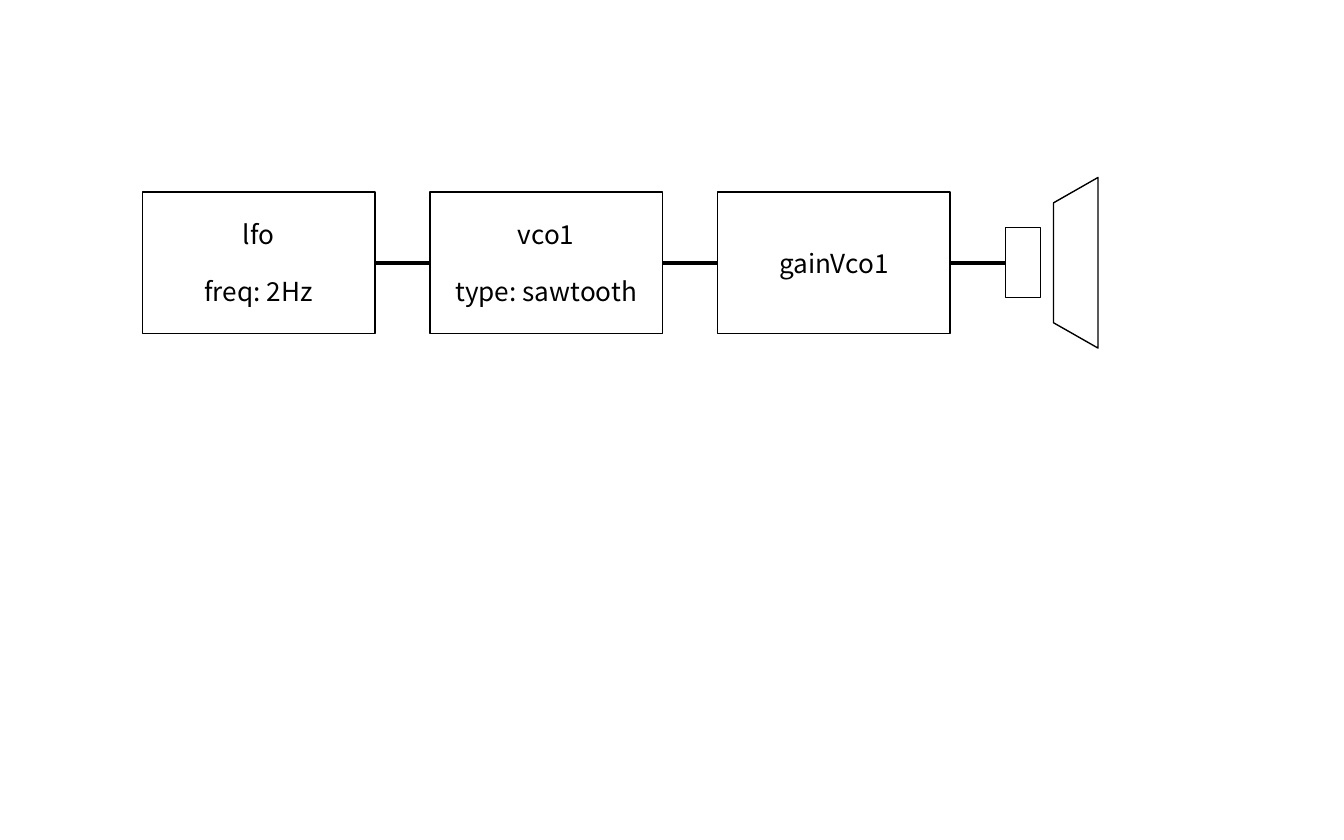
from lxml import etree
from pptx import Presentation
from pptx import util as u
from pptx.dml.color import RGBColor
from pptx.enum import shapes, text
from pptx.oxml import ns

BLACK = RGBColor(0, 0, 0)
FONT = "Noto Sans CJK JP"
CELL = u.Inches(0.01)
COLUMNS, ROWS = 1000, 625
PITCH = 214
FIRST_STAGE = (106, 143, 173, 105)
SPEAKER = (FIRST_STAGE[0] + 3 * PITCH, 132, 69, 127)
STAGES = (("lfo", "freq: 2Hz"), ("vco1", "type: sawtooth"), ("gainVco1",))


def apply_format(target, values):
    """Set each named attribute of the target."""
    for name, value in values.items():
        setattr(target, name, value)


def add_outline(parent, kind, box):
    """Add an unfilled, black-lined shape in a box of grid cells."""
    shape = parent.add_shape(kind, *(round(length * CELL) for length in box))
    shape.shadow.inherit = False
    shape.fill.background()
    shape.line.color.rgb = BLACK
    shape.line.width = u.Pt(0.75)
    return shape


def add_stage(slide, box, lines):
    """Draw one signal stage with its centred lines of text."""
    shape = add_outline(slide.shapes, shapes.MSO_SHAPE.RECTANGLE, box)
    frame = shape.text_frame
    apply_format(frame, {"word_wrap": True, "vertical_anchor": text.MSO_ANCHOR.MIDDLE})
    for index, line in enumerate(lines):
        paragraph = frame.add_paragraph() if index else frame.paragraphs[0]
        apply_format(paragraph, {"alignment": text.PP_ALIGN.CENTER,
                                 "space_before": u.Pt(13.5 if index else 0)})
        run = paragraph.add_run()
        run.text = line
        apply_format(run.font, {"name": FONT, "size": u.Pt(14)})
        run.font.color.rgb = BLACK
    return shape


def add_speaker(slide, box):
    """Draw the grouped speaker and return its driver rectangle."""
    left, top, width, height = box
    group = slide.shapes.add_group_shape()
    driver_height = 0.41 * height
    driver = add_outline(group.shapes, shapes.MSO_SHAPE.RECTANGLE,
                         (left, top + (height - driver_height) / 2, 0.38 * width, driver_height))
    depth = 0.48 * width
    cone = add_outline(group.shapes, shapes.MSO_SHAPE.TRAPEZOID,
                       (left + width - (depth + height) / 2, top + (height - depth) / 2, height, depth))
    cone.rotation = 270
    cone.adjustments[0] = 0.57
    return driver


def add_wire(slide, source, target):
    """Join the right side of one shape to the left side of the next."""
    wire = slide.shapes.add_connector(shapes.MSO_CONNECTOR.STRAIGHT, 0, 0, 0, 0)
    wire.begin_connect(source, 3)
    wire.end_connect(target, 1)
    wire.line.color.rgb = BLACK
    wire.line.width = u.Pt(2)
    etree.SubElement(wire._element.spPr, ns.qn("a:effectLst"))


def add_signal_chain(slide):
    """Place the stages, the speaker and the wires between them."""
    left, *rest = FIRST_STAGE
    chain = [add_stage(slide, (left + index * PITCH, *rest), lines)
             for index, lines in enumerate(STAGES)]
    chain.append(add_speaker(slide, SPEAKER))
    for source, target in zip(chain, chain[1:]):
        add_wire(slide, source, target)


def main():
    """Build and save the presentation."""
    presentation = Presentation()
    apply_format(presentation, {"slide_width": COLUMNS * CELL, "slide_height": ROWS * CELL})
    slide = presentation.slides.add_slide(presentation.slide_layouts[6])
    add_signal_chain(slide)
    presentation.save("out.pptx")


if __name__ == "__main__":
    main()
